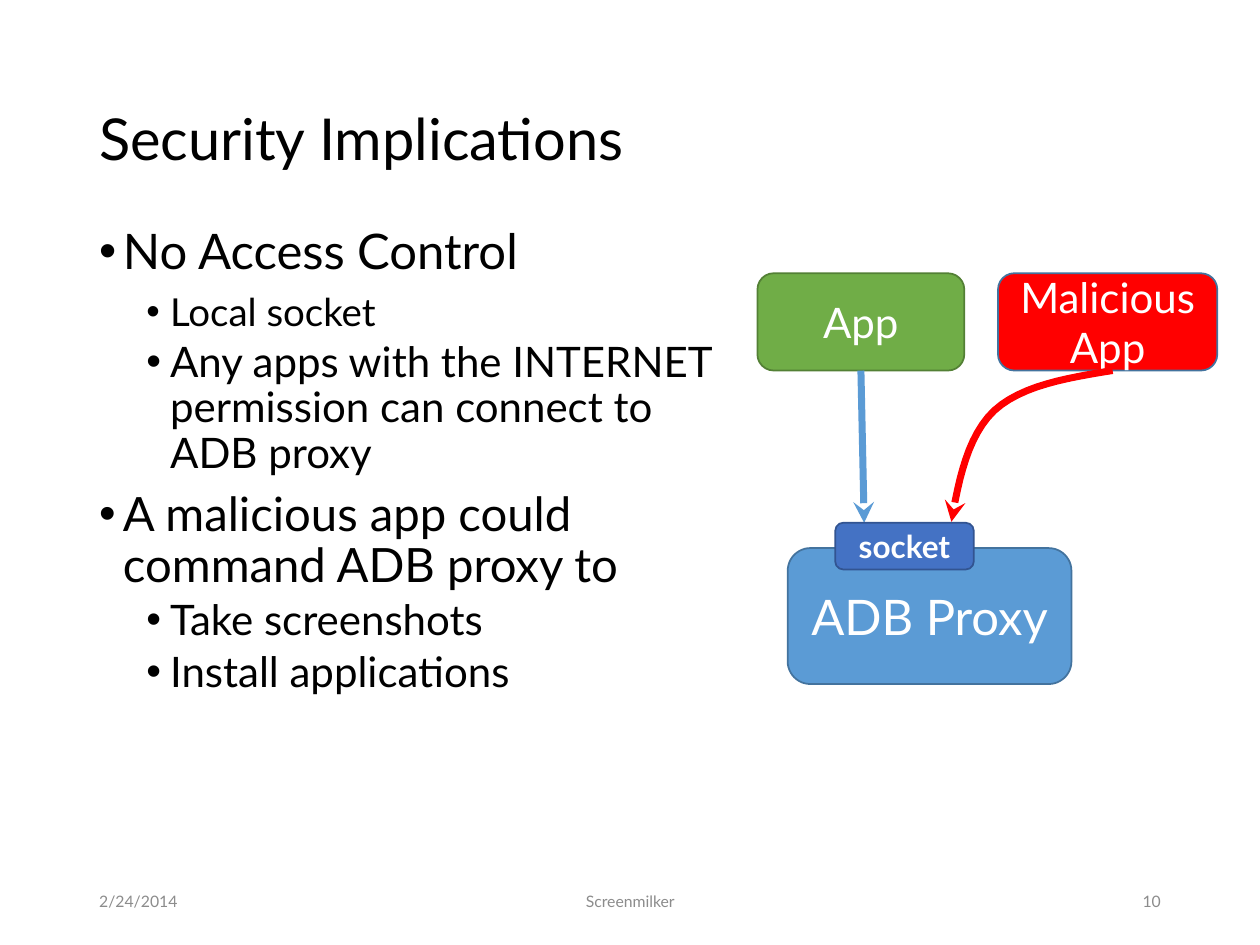
from lxml.etree import SubElement
from pptx import Presentation
from pptx.dml.color import RGBColor
from pptx.enum.shapes import MSO_CONNECTOR as Connector, MSO_SHAPE as Shape
from pptx.enum.text import MSO_ANCHOR as Anchor, PP_ALIGN as Align
from pptx.oxml.ns import qn
from pptx.util import Cm, Pt

FONT = "Lato"
BLACK = RGBColor(0x00, 0x00, 0x00)
WHITE = RGBColor(0xFF, 0xFF, 0xFF)
GRAY = RGBColor(0x8C, 0x8C, 0x8C)
RED = RGBColor(0xFF, 0x00, 0x00)
GREEN = RGBColor(0x70, 0xAD, 0x47)
GREEN_EDGE = RGBColor(0x53, 0x80, 0x35)
BLUE = RGBColor(0x5B, 0x9B, 0xD5)
BLUE_EDGE = RGBColor(0x43, 0x73, 0x9E)
INDIGO = RGBColor(0x44, 0x72, 0xC4)
INDIGO_EDGE = RGBColor(0x32, 0x54, 0x91)

# Text, level, size, space before
BULLETS = [
    ("No Access Control", 0, 28, 7.5),
    ("Local socket", 1, 22, 7.5),
    ("Any apps with the INTERNET permission can connect to ADB proxy", 1, 24, 3.8),
    ("A malicious app could command ADB proxy to", 0, 27, 7.5),
    ("Take screenshots", 1, 24, 3.8),
    ("Install applications", 1, 24, 3.8),
]
# Text, left, width, alignment
FOOTER = [
    ("2/24/2014", 1.75, 5.72, Align.LEFT),
    ("Screenmilker", 8.41, 8.59, Align.CENTER),
    ("10", 17.93, 5.72, Align.RIGHT),
]
# Two cubic segments sharing the middle point
ATTACK_CURVE = [
    [(22.43, 7.47), (21.51, 7.62), (20.6, 7.77), (20.04, 8.28)],
    [(20.04, 8.28), (19.51, 8.79), (19.33, 9.65), (19.18, 10.52)],
]
CURVE_STEPS = 12


def add_span(para, text, size, color, bold=False):
    span = para.add_run()
    span.text = text
    span.font.name = FONT
    span.font.size = Pt(size)
    span.font.bold = bold
    span.font.color.rgb = color


def add_text_box(page, left, top, width, height, anchor=Anchor.MIDDLE):
    box = page.shapes.add_textbox(Cm(left), Cm(top), Cm(width), Cm(height))
    box.text_frame.word_wrap = True
    box.text_frame.vertical_anchor = anchor
    return box.text_frame


def add_label(page, text, place, size, color, align=Align.LEFT, spacing=1.0):
    para = add_text_box(page, *place).paragraphs[0]
    para.alignment = align
    para.line_spacing = spacing
    add_span(para, text, size, color)


def set_bullet(para, level):
    properties = para._p.get_or_add_pPr()
    properties.set("marL", str(Cm(0.48 + 0.95 * level)))
    properties.set("indent", str(-Cm(0.48)))
    SubElement(properties, qn("a:buFont"), typeface="Arial")
    SubElement(properties, qn("a:buChar"), char="•")


def add_bullets(page):
    frame = add_text_box(page, 1.75, 4.45, 13.51, 11.86, Anchor.TOP)
    for index, (text, level, size, before) in enumerate(BULLETS):
        para = frame.add_paragraph() if index else frame.paragraphs[0]
        para.level = level
        para.line_spacing = 0.9
        para.space_before = Pt(before)
        set_bullet(para, level)
        add_span(para, text, size, BLACK)


def add_node(page, text, place, fill, edge, size, bold=False):
    node = page.shapes.add_shape(Shape.ROUNDED_RECTANGLE, *map(Cm, place))
    node.shadow.inherit = False
    node.fill.solid()
    node.fill.fore_color.rgb = fill
    node.line.color.rgb = edge
    node.line.width = Pt(1)
    node.text_frame.word_wrap = True
    node.text_frame.vertical_anchor = Anchor.MIDDLE
    para = node.text_frame.paragraphs[0]
    para.alignment = Align.CENTER
    add_span(para, text, size, WHITE, bold)
    return node


def style_arrow(line, color):
    line.color.rgb = color
    line.width = Pt(4)
    SubElement(line._get_or_add_ln(), qn("a:tailEnd"), type="stealth")


def add_arrow(page, source, end, color):
    arrow = page.shapes.add_connector(Connector.STRAIGHT, 0, 0, *map(Cm, end))
    arrow.begin_connect(source, 2)
    style_arrow(arrow.line, color)
    SubElement(arrow._element.spPr, qn("a:effectLst"))


def bezier_point(controls, t):
    weights = ((1 - t) ** 3, 3 * t * (1 - t) ** 2, 3 * t * t * (1 - t), t ** 3)
    return tuple(Cm(sum(w * value for w, value in zip(weights, axis)))
                 for axis in zip(*controls))


def add_curved_arrow(page, segments, color):
    points = [bezier_point(controls, step / CURVE_STEPS)
              for controls in segments
              for step in range(1, CURVE_STEPS + 1)]
    builder = page.shapes.build_freeform(*map(Cm, segments[0][0]))
    builder.add_line_segments(points, close=False)
    curve = builder.convert_to_shape()
    curve.shadow.inherit = False
    curve.fill.background()
    style_arrow(curve.line, color)


def main():
    deck = Presentation()
    deck.slide_width, deck.slide_height = Cm(25.4), Cm(19.05)
    page = deck.slides.add_slide(deck.slide_layouts[6])

    # Title, bullets and footer
    add_label(page, "Security Implications", (1.75, 1.02, 21.89, 3.68),
              33, BLACK, spacing=0.9)
    add_bullets(page)
    for text, left, width, align in FOOTER:
        add_label(page, text, (left, 17.65, width, 1.02), 9, GRAY, align)

    # Apps reaching the proxy through its socket
    app = add_node(page, "App", (15.27, 5.51, 4.17, 1.96), GREEN, GREEN_EDGE, 24)
    add_node(page, "ADB Proxy", (15.88, 11.05, 5.72, 2.74), BLUE, BLUE_EDGE, 28)
    add_arrow(page, app, (17.42, 10.54), BLUE)
    add_node(page, "Malicious App", (20.12, 5.51, 4.42, 1.96), RED, BLUE_EDGE, 24)
    add_curved_arrow(page, ATTACK_CURVE, RED)
    add_node(page, "socket", (16.84, 10.54, 2.79, 0.94),
             INDIGO, INDIGO_EDGE, 18, bold=True)

    deck.save("out.pptx")


if __name__ == "__main__":
    main()
